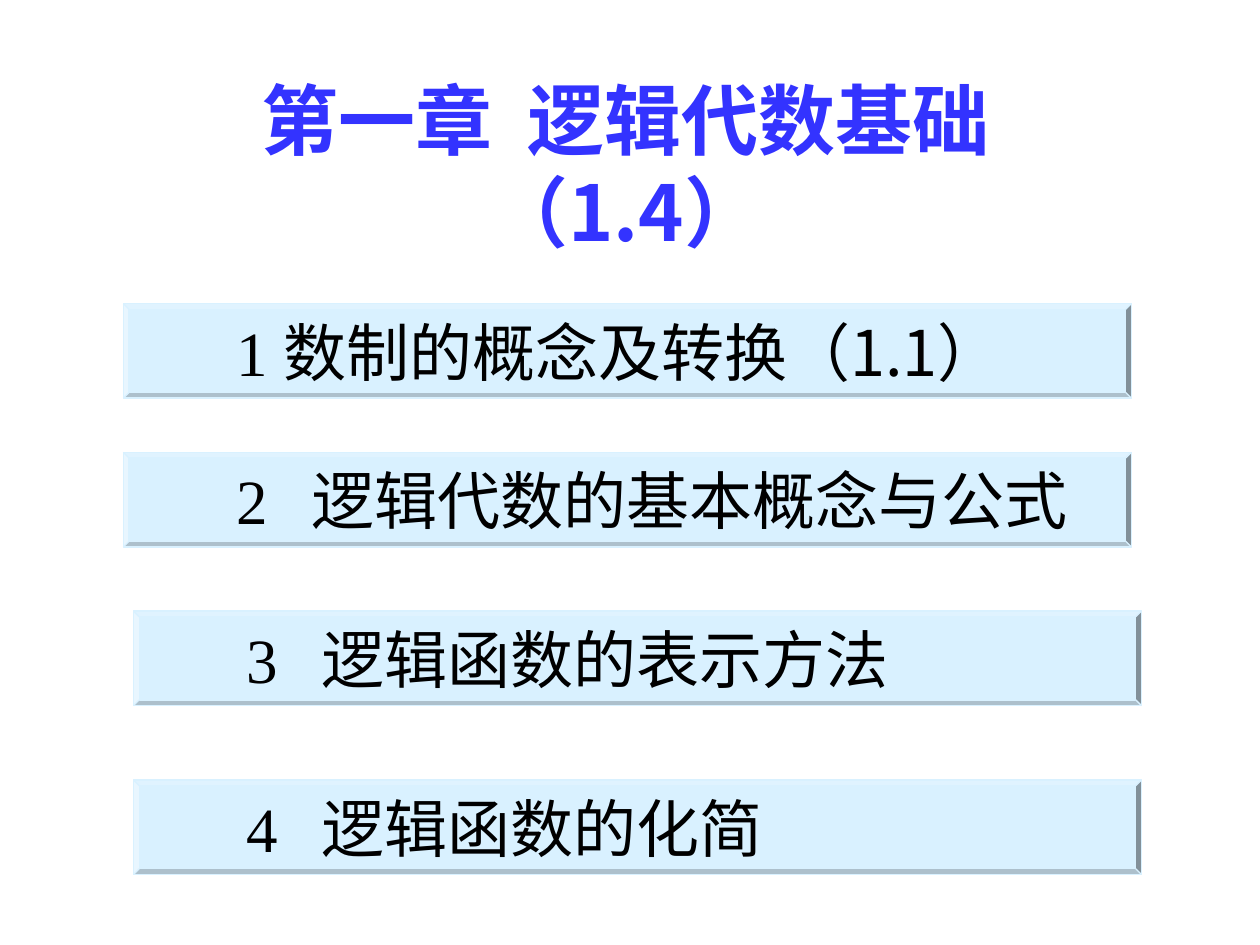
"""Build the chapter contents slide: a title above four bevelled topic bars."""
import lxml.etree
import pptx
import pptx.dml.color
import pptx.enum.shapes
import pptx.enum.text
import pptx.oxml.ns
import pptx.util

THEME = {
    "title_color": pptx.dml.color.RGBColor.from_string("3333FF"),
    "text_color": pptx.dml.color.RGBColor.from_string("000000"),
    "bar_color": pptx.dml.color.RGBColor.from_string("D9F1FF"),
    "title_size": pptx.util.Pt(44),
    "topic_size": pptx.util.Pt(36),
    "number_font": "Times New Roman",
    "chinese_font": "Noto Sans CJK SC",
}


def set_chinese_font(font, properties):
    font.name = THEME["chinese_font"]
    east_asian = lxml.etree.SubElement(properties, pptx.oxml.ns.qn("a:ea"))
    east_asian.set("typeface", THEME["chinese_font"])


presentation = pptx.Presentation()
presentation.slide_width = pptx.util.Inches(10)
presentation.slide_height = pptx.util.Inches(7.5)
width, height = presentation.slide_width, presentation.slide_height
slide = presentation.slides.add_slide(presentation.slide_layouts[6])

title = slide.shapes.add_textbox(
    int(width * 0.142), int(height * 0.07), int(width * 0.71), int(height * 0.21))
title.text_frame.word_wrap = True
paragraph = title.text_frame.paragraphs[0]
paragraph.alignment = pptx.enum.text.PP_ALIGN.CENTER
run = paragraph.add_run()
run.text = "第一章  逻辑代数基础（1.4）"
paragraph.font.size = THEME["title_size"]
paragraph.font.bold = True
paragraph.font.color.rgb = THEME["title_color"]
set_chinese_font(run.font, run.font._element)

left_column, right_column = 0.98, 1.06
topics = [
    (left_column, 2.41, " ", "数制的概念及转换（1.1）"),
    (left_column, 3.59, "\t", "逻辑代数的基本概念与公式"),
    (right_column, 4.85, "\t", "逻辑函数的表示方法"),
    (right_column, 6.19, "\t", "逻辑函数的化简"),
]
for number, (left, top, gap, topic) in enumerate(topics, 1):
    bar = slide.shapes.add_shape(
        pptx.enum.shapes.MSO_SHAPE.BEVEL,
        pptx.util.Inches(left), pptx.util.Inches(top), int(width * 0.8), int(height * 0.1))
    bar.adjustments[0] = 0.06
    bar.shadow.inherit = False
    bar.fill.solid()
    bar.fill.fore_color.rgb = THEME["bar_color"]
    bar.line.color.rgb = THEME["bar_color"]
    bar.line.width = pptx.util.Pt(0.75)

    text_frame = bar.text_frame
    text_frame.word_wrap = True
    text_frame.vertical_anchor = pptx.enum.text.MSO_ANCHOR.MIDDLE
    text_frame.margin_left = pptx.util.Inches(0.85)
    text_frame.margin_right = 0
    paragraph = text_frame.paragraphs[0]
    paragraph.alignment = pptx.enum.text.PP_ALIGN.LEFT
    tab_list = lxml.etree.SubElement(
        paragraph._p.get_or_add_pPr(), pptx.oxml.ns.qn("a:tabLst"))
    lxml.etree.SubElement(
        tab_list, pptx.oxml.ns.qn("a:tab"), pos=str(pptx.util.Inches(0.6)), algn="l")
    paragraph.font.size = THEME["topic_size"]
    paragraph.font.color.rgb = THEME["text_color"]

    number_run = paragraph.add_run()
    number_run.text = f"{number}{gap}"
    number_run.font.name = THEME["number_font"]
    topic_run = paragraph.add_run()
    topic_run.text = topic
    set_chinese_font(topic_run.font, topic_run.font._element)

presentation.save("out.pptx")
